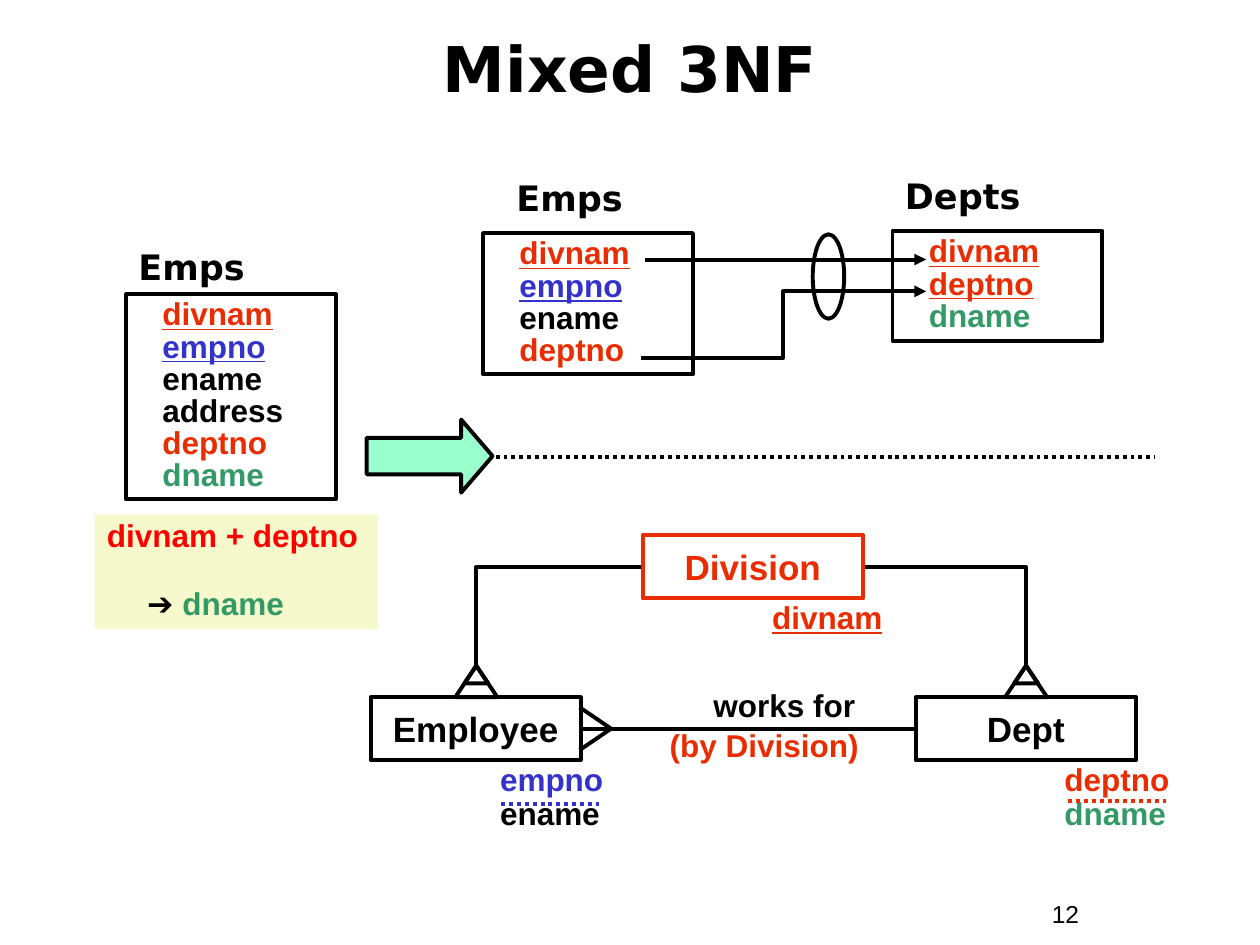
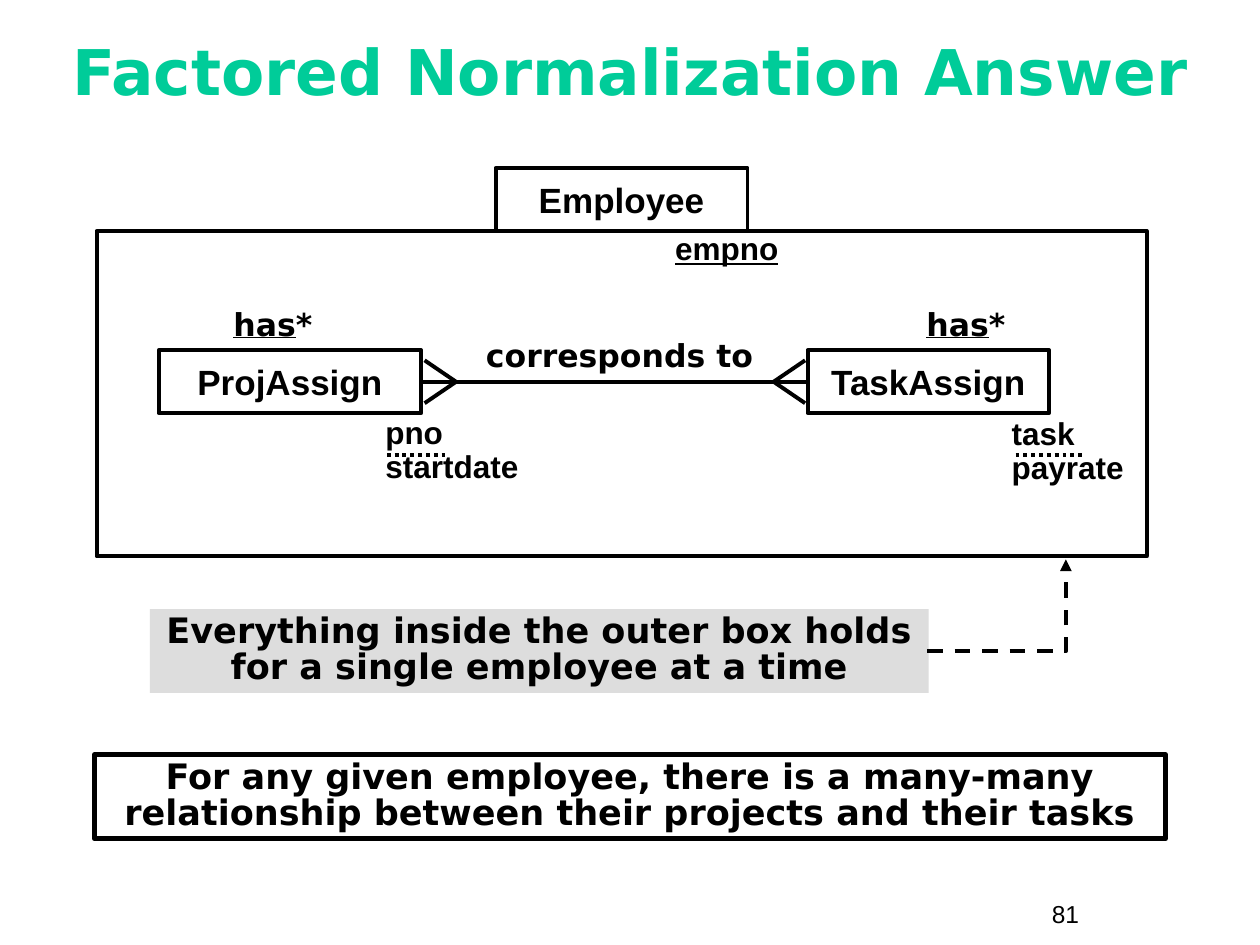
import pptx
import pptx.dml.color
import pptx.enum.dml
import pptx.enum.shapes
import pptx.enum.text
import pptx.oxml.ns
import pptx.util
from lxml import etree

SHAPES = pptx.enum.shapes.MSO_SHAPE
LINKS = pptx.enum.shapes.MSO_CONNECTOR
DASHES = pptx.enum.dml.MSO_LINE
CENTER = pptx.enum.text.PP_ALIGN.CENTER
LEFT = pptx.enum.text.PP_ALIGN.LEFT
TOP = pptx.enum.text.MSO_ANCHOR.TOP
MIDDLE = pptx.enum.text.MSO_ANCHOR.MIDDLE

BODY, HEADING = "Arial", "DejaVu Sans"
BLACK, RED, BLUE, GREEN = "000000", "EA2D00", "3333CC", "339966"
BRIGHT_RED, TEAL, MINT = "FF0000", "00CC99", "99FFCC"
NOTE_YELLOW, NOTE_GREY = "F6F9CB", "DDDDDD"
COLUMNS, ROWS = 120, 90
CELL = pptx.util.Inches(10) // COLUMNS


def grid(*cells):
    """Turn columns and rows into slide lengths."""
    return [round(cell * CELL) for cell in cells]


def rgb(code):
    """Turn a hex string into a colour."""
    return pptx.dml.color.RGBColor.from_string(code)


def assign(target, values):
    """Set every attribute named in a dict."""
    for name, value in values.items():
        setattr(target, name, value)


def write(frame, paragraphs, size=18, font=BODY, align=LEFT, spacing=0.85,
          anchor=TOP, wrap=True, bold=True, indent=0, gap=0):
    """Fill a frame with paragraphs, each a list of (text, colour, underline) runs."""
    assign(frame, {"word_wrap": wrap, "vertical_anchor": anchor,
                   "auto_size": pptx.enum.text.MSO_AUTO_SIZE.NONE})
    for index, runs in enumerate(paragraphs):
        paragraph = frame.add_paragraph() if index else frame.paragraphs[0]
        assign(paragraph, {"alignment": align, "line_spacing": spacing,
                           "space_before": pptx.util.Pt(gap if index else 0)})
        if indent:
            paragraph._p.get_or_add_pPr().set("marL", str(pptx.util.Inches(indent)))
        for text, colour, underline in runs:
            run = paragraph.add_run()
            run.text = text
            assign(run.font, {"name": font, "size": pptx.util.Pt(size),
                              "bold": bold, "underline": underline})
            run.font.color.rgb = rgb(colour)


def lines(*entries):
    """Make one-run paragraphs from (text, colour, underline) entries."""
    return [[entry] for entry in entries]


def title(slide, text, colour, area):
    """Place and format the title."""
    heading = slide.shapes.title
    assign(heading, dict(zip(("left", "top", "width", "height"), grid(*area))))
    write(heading.text_frame, lines((text, colour, False)), 36, HEADING, CENTER,
          anchor=MIDDLE)


def label(slide, area, paragraphs, **style):
    """Add free-standing text."""
    write(slide.shapes.add_textbox(*grid(*area)).text_frame, paragraphs, **style)


def outline(line, colour=BLACK, weight=2.25, dash=None):
    """Format a line or an outline."""
    line.color.rgb = rgb(colour)
    assign(line, {"width": pptx.util.Pt(weight), "dash_style": dash})


def figure(slide, area, kind=SHAPES.RECTANGLE, fill=None, edge=BLACK, weight=2.25):
    """Add a preset shape with an optional fill and edge."""
    shape = slide.shapes.add_shape(kind, *grid(*area))
    shape.shadow.inherit = False
    if fill:
        shape.fill.solid()
        shape.fill.fore_color.rgb = rgb(fill)
    else:
        shape.fill.background()
    if edge:
        outline(shape.line, edge, weight)
    else:
        shape.line.fill.background()
    return shape


def entity(slide, area, name, colour=BLACK):
    """Add an entity box with its name."""
    write(figure(slide, area, edge=colour).text_frame, lines((name, colour, False)),
          20, align=CENTER, spacing=1, anchor=MIDDLE, wrap=False)


def relation(slide, name, heading, area, fields):
    """Add a relation's heading and its box of fields."""
    label(slide, heading, lines((name, BLACK, False)), size=20, font=HEADING, spacing=1)
    write(figure(slide, area).text_frame, lines(*fields), indent=0.19)


def statement(slide, area, text, **look):
    """Add a boxed, centred statement."""
    write(figure(slide, area, **look).text_frame, lines((text, BLACK, False)),
          20, HEADING, CENTER)


def link(slide, start, end, bend=None, arrow=False, **look):
    """Join two points by a straight line or an elbow with the given preset."""
    kind = LINKS.ELBOW if bend else LINKS.STRAIGHT
    joint = slide.shapes.add_connector(kind, *grid(*start, *end))
    outline(joint.line, **look)
    properties = joint._element.spPr
    if bend:
        properties.find(pptx.oxml.ns.qn("a:prstGeom")).set("prst", bend)
    if arrow:
        etree.SubElement(joint.line._get_or_add_ln(), pptx.oxml.ns.qn("a:tailEnd"),
                         type="triangle")
    etree.SubElement(properties, pptx.oxml.ns.qn("a:effectLst"))


def dots(slide, left, right, row, colour=BLACK):
    """Draw a dotted rule."""
    link(slide, (left, row), (right, row), colour=colour, dash=DASHES.ROUND_DOT)


def crow_foot(slide, tip, base, row):
    """Draw the two toes of a many end."""
    for toe in (-2.04, 2.04):
        link(slide, (tip, row), (base, row + toe))


def barred_foot(slide, apex, row):
    """Draw a many end with a bar, as two nested triangles."""
    for width, height in ((4, 3), (2.28, 1.68)):
        figure(slide, (apex - width / 2, row, width, height), SHAPES.ISOSCELES_TRIANGLE)


def page_number(slide, number):
    """Add the page number at the foot."""
    label(slide, (99, 85, 11, 4.08), lines((number, BLACK, False)), size=14,
          spacing=1, bold=False)


def mixed_3nf(slide):
    """Build the decomposition and its entity diagram."""
    title(slide, "Mixed 3NF", BLACK, (4, 2, 112, 10))
    page_number(slide, "12")

    divnam, empno = ("divnam", RED, True), ("empno", BLUE, True)
    ename, deptno = ("ename", BLACK, False), ("deptno", RED, False)
    dname = ("dname", GREEN, False)
    relation(slide, "Emps", (12, 22.8, 16, 5.28), (12, 28, 20, 19.56),
             [divnam, empno, ename, ("address", BLACK, False), deptno, dname])
    relation(slide, "Depts", (85, 16, 20, 5.28), (85, 22, 20, 10.44),
             [divnam, ("deptno", RED, True), dname])
    relation(slide, "Emps", (48, 16.2, 18, 5.28), (46, 22.2, 20, 13.44),
             [divnam, empno, ename, deptno])

    dependency = figure(slide, (9, 49, 27, 10.92), fill=NOTE_YELLOW, edge=None).text_frame
    write(dependency, [[("divnam + deptno", BRIGHT_RED, False)],
                       [("➔ ", BLACK, False), dname]], spacing=0.9, gap=19)
    dependency.paragraphs[1]._p.get_or_add_pPr().set("marL", str(pptx.util.Inches(0.32)))

    link(slide, (61.44, 24.72), (88.2, 24.72), arrow=True)
    link(slide, (61, 34.08), (88.2, 27.76), "bentConnector3", arrow=True)
    figure(slide, (77.4, 22.32, 3, 8.04), SHAPES.OVAL)

    label(slide, (59.28, 69.12, 27, 4.32), lines(("(by Division)", RED, False)), align=CENTER)
    label(slide, (61.2, 65.28, 27, 4.32), lines(("works for", BLACK, False)), align=CENTER)
    label(slide, (46.44, 72.24, 15.84, 7.68), lines(("empno", BLUE, False), ename), spacing=0.9)
    label(slide, (100.2, 72.24, 14.04, 7.68), lines(deptno, dname), spacing=0.9)
    label(slide, (72.36, 56.76, 15.84, 4.44), lines(divnam), spacing=0.9)
    entity(slide, (61.2, 51, 21, 6), "Division", RED)
    entity(slide, (87.2, 66.4, 21, 6), "Dept")
    entity(slide, (35.3, 66.4, 20, 6), "Employee")

    link(slide, (87.1, 69.4), (55.4, 69.4))
    crow_foot(slide, 58.2, 55.2, 69.4)
    for start, apex in ((61.1, 45.36), (82.4, 97.72)):
        link(slide, (start, 54), (apex, 63.4), "bentConnector2")
        barred_foot(slide, apex, 63.4)
    dots(slide, 47.76, 57.24, 76.56, BLUE)
    dots(slide, 101.76, 111.24, 76.32, RED)
    dots(slide, 39, 110, 43.56)
    arrow = figure(slide, (34.92, 39.96, 12, 6.96), SHAPES.RIGHT_ARROW, MINT)
    arrow.adjustments[1] = 0.43


def factored_answer(slide):
    """Build the factored diagram and its two statements."""
    title(slide, "Factored Normalization Answer", TEAL, (4, 1.8, 112, 11))
    page_number(slide, "81")

    figure(slide, (9.2, 22, 100, 31))
    entity(slide, (47.2, 16, 24, 6), "Employee")
    label(slide, (63.12, 21.6, 15.84, 4.44), lines(("empno", BLACK, True)), spacing=0.9)

    assignments = (
        ("ProjAssign", 15.12, 25, 14, (35.52, 39.12), ("pno", "startdate"), (36.84, 42.36)),
        ("TaskAssign", 76.92, 23, 80, (95.16, 39.24), ("task", "payrate"), (96.72, 103.2)),
    )
    for name, left, width, has_left, corner, fields, rule in assignments:
        entity(slide, (left, 33.36, width, 6), name)
        label(slide, (has_left, 29, 24, 4.32),
              [[("has", BLACK, True), ("*", BLACK, False)]], font=HEADING, align=CENTER)
        label(slide, (*corner, 15.84, 7.68),
              lines(*((field, BLACK, False) for field in fields)), spacing=0.9)
        dots(slide, *rule, 43.32)

    link(slide, (40.32, 36.36), (76.8, 36.36))
    crow_foot(slide, 43.44, 40.44, 36.36)
    crow_foot(slide, 73.68, 76.68, 36.36)
    label(slide, (45, 32, 28, 4.32), lines(("corresponds to", BLACK, False)),
          font=HEADING, align=CENTER)

    statement(slide, (14.28, 58, 74.16, 8),
              "Everything inside the outer box holds for a single employee at a time",
              fill=NOTE_GREY, edge=None)
    link(slide, (88.32, 62.04), (101.52, 53.28), "bentConnector2", arrow=True,
         dash=DASHES.DASH)
    statement(slide, (9, 71.88, 102, 8),
              "For any given employee, there is a many-many relationship "
              "between their projects and their tasks", weight=3)


def main():
    """Build and save the slides."""
    deck = pptx.Presentation()
    assign(deck, {"slide_width": CELL * COLUMNS, "slide_height": CELL * ROWS})
    for build in (mixed_3nf, factored_answer):
        build(deck.slides.add_slide(deck.slide_layouts[5]))
    deck.save("out.pptx")


if __name__ == "__main__":
    main()
